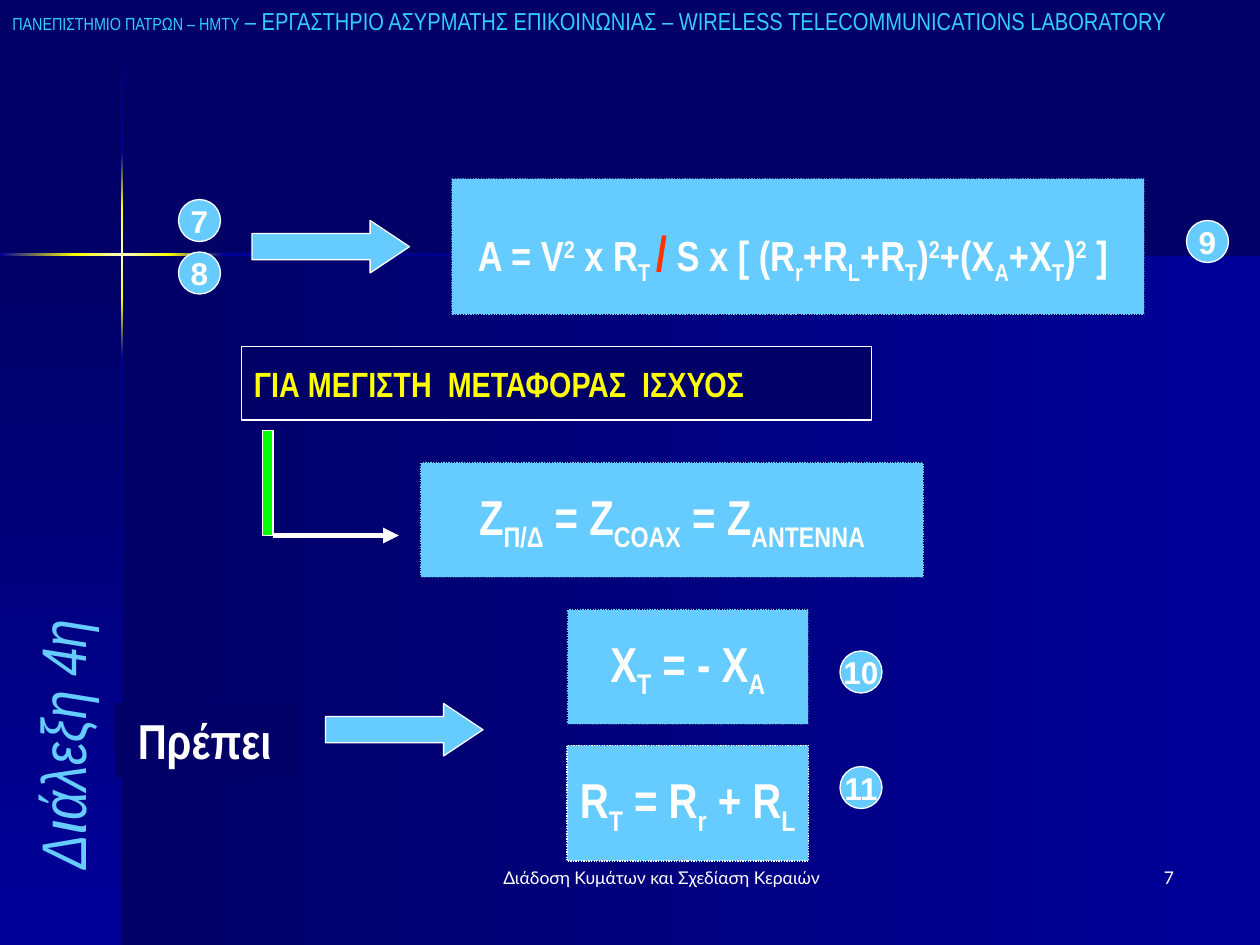
from copy import deepcopy
from dataclasses import dataclass
from itertools import pairwise
from typing import Optional

from pptx import Presentation
from pptx.dml.color import RGBColor
from pptx.enum.dml import MSO_LINE
from pptx.enum.shapes import MSO_CONNECTOR, MSO_SHAPE as Shape
from pptx.enum.text import MSO_ANCHOR as Anchor, MSO_AUTO_SIZE, PP_ALIGN as Align
from pptx.oxml.ns import qn
from pptx.util import Emu, Pt
from lxml.etree import SubElement

PX = 9525  # EMU per px, 96 px to the inch

NAVY = RGBColor(0x00, 0x00, 0x66)
BLUE = RGBColor(0x00, 0x00, 0x99)
SKY = RGBColor(0x66, 0xCC, 0xFF)
CYAN = RGBColor(0x33, 0xCC, 0xFF)
WHITE = RGBColor(0xFF, 0xFF, 0xFF)
YELLOW = RGBColor(0xFF, 0xFF, 0x00)
CREAM = RGBColor(0xFF, 0xFF, 0xCC)
GREEN = RGBColor(0x00, 0xFF, 0x00)
RED = RGBColor(0xFF, 0x33, 0x00)

NARROW = "Arial Narrow"


@dataclass(frozen=True)
class Run:
    text: str
    base: int = 0  # baseline shift in percent
    size: Optional[int] = None
    color: Optional[RGBColor] = None


@dataclass(frozen=True)
class Style:
    size: int
    color: RGBColor = WHITE
    font: str = NARROW
    bold: bool = False
    italic: bool = False
    align: Align = Align.LEFT


@dataclass(frozen=True)
class Box:
    x: int
    y: int
    w: int
    h: int
    runs: list[Run]
    style: Style
    fill: RGBColor = SKY
    line: RGBColor = NAVY
    dotted: bool = True


def sub(text: str) -> Run:
    return Run(text, -25)


def sup(text: str) -> Run:
    return Run(text, 30)


def px(*values: int) -> list[Emu]:
    return [Emu(v * PX) for v in values]


def write(sp, runs: list[Run], style: Style, anchor=Anchor.TOP, wrap=True) -> None:
    tf = sp.text_frame
    tf.auto_size = MSO_AUTO_SIZE.NONE
    tf.word_wrap = wrap
    tf.vertical_anchor = anchor
    p = tf.paragraphs[0]
    p.alignment = style.align
    p.font.name, p.font.size = style.font, Pt(style.size)
    p.font.bold, p.font.italic = style.bold, style.italic
    p.font.color.rgb = style.color
    for run in runs:
        r = p.add_run()
        r.text = run.text
        if run.size:
            r.font.size = Pt(run.size)
        if run.color is not None:
            r.font.color.rgb = run.color
        if run.base:
            r._r.get_or_add_rPr().set("baseline", str(run.base * 1000))


def add_solid(shapes, kind, x: int, y: int, w: int, h: int,
              fill=SKY, line=WHITE):
    sp = shapes.add_shape(kind, *px(x, y, w, h))
    sp.shadow.inherit = False
    sp.fill.solid()
    sp.fill.fore_color.rgb = fill
    sp.line.color.rgb = line
    sp.line.width = Pt(0.75)
    return sp


def add_gradient(shapes, x: int, y: int, w: int, h: int,
                 colors: tuple[RGBColor, ...], angle: int) -> None:
    sp = shapes.add_shape(Shape.RECTANGLE, *px(x, y, w, h))
    sp.shadow.inherit = False
    sp.line.fill.background()
    sp.fill.gradient()
    sp.fill.gradient_angle = angle
    stops = sp._element.spPr.find(qn("a:gradFill")).find(qn("a:gsLst"))
    while len(stops) < len(colors):
        stops.append(deepcopy(stops[0]))
    for i, (stop, color) in enumerate(zip(sp.fill.gradient_stops, colors)):
        stop.position = i / (len(colors) - 1)
        stop.color.rgb = color


def add_box(shapes, box: Box) -> None:
    sp = add_solid(shapes, Shape.RECTANGLE, box.x, box.y, box.w, box.h, box.fill, box.line)
    if box.dotted:
        sp.line.dash_style = MSO_LINE.ROUND_DOT
    write(sp, box.runs, box.style, Anchor.MIDDLE, wrap=False)


def add_text(shapes, x: int, y: int, w: int, h: int, runs: list[Run], style: Style):
    sp = shapes.add_textbox(*px(x, y, w, h))
    write(sp, runs, style)
    return sp


def add_backdrop(shapes) -> None:
    add_gradient(shapes, 93, 194, 867, 526, (NAVY, BLUE), 0)
    add_gradient(shapes, 0, 194, 93, 526, (NAVY, BLUE), 270)
    # Glowing cross: each arm fades in, shines and fades out
    arm = [(NAVY, BLUE), (BLUE, YELLOW), (YELLOW, CREAM, YELLOW),
           (YELLOW, BLUE), (BLUE, NAVY)]
    for (top, bottom), colors in zip(pairwise([1, 116, 158, 228, 271, 720]), arm):
        add_gradient(shapes, 92, top, 2, bottom - top, colors, 270)
    for (left, right), colors in zip(pairwise([0, 58, 128, 170, 960]), arm[1:]):
        add_gradient(shapes, left, 193, right - left, 2, colors, 0)


FORMULA = Style(28, bold=True, align=Align.CENTER)
BADGE = Style(18, font="Arial", bold=True, align=Align.CENTER)

BOXES = [
    Box(344, 136, 528, 104,
        [Run("A = V"), sup("2"), Run(" x R"), sub("T "), Run("/", size=28, color=RED),
         Run(" S x [ (R"), sub("r"), Run("+R"), sub("L"), Run("+R"), sub("T"), Run(")"),
         sup("2"), Run("+(X"), sub("A"), Run("+X"), sub("T"), Run(")"), sup("2"),
         Run(" ]"), Run(" ", -25, 44)],
        Style(24, bold=True, align=Align.CENTER)),
    Box(184, 264, 480, 56, [Run("ΓΙΑ ΜΕΓΙΣΤΗ  ΜΕΤΑΦΟΡΑΣ  ΙΣΧΥΟΣ")],
        Style(20, YELLOW, bold=True), NAVY, WHITE, dotted=False),
    Box(320, 352, 384, 88,
        [Run("Ζ"), sub("Π/Δ"), Run(" = Ζ"), sub("COAX"), Run(" = Z"), sub("ANTENNA")],
        FORMULA),
    Box(432, 464, 184, 88, [Run("X"), sub("T"), Run(" = - X"), sub("A")], FORMULA),
    Box(432, 568, 184, 88,
        [Run("R"), sub("T"), Run(" = R"), sub("r"), Run(" + R"), sub("L")],
        FORMULA, line=WHITE),
    Box(88, 536, 136, 56, [Run("Πρέπει")], FORMULA, fill=NAVY),
]
BADGES = {"7": (136, 152), "8": (136, 192), "9": (904, 168),
          "10": (640, 496), "11": (640, 584)}
ARROWS = [(192, 168), (248, 536)]


def main() -> None:
    prs = Presentation()
    prs.slide_width, prs.slide_height = px(960, 720)
    s = prs.slides.add_slide(prs.slide_layouts[5])
    s.background.fill.solid()
    s.background.fill.fore_color.rgb = NAVY
    shapes = s.shapes
    add_backdrop(shapes)

    # Formula boxes, equation numbers and block arrows
    for box in BOXES:
        add_box(shapes, box)
    for number, (x, y) in BADGES.items():
        sp = add_solid(shapes, Shape.OVAL, x, y, 32, 32)
        write(sp, [Run(number)], BADGE, Anchor.MIDDLE, wrap=False)
    for x, y in ARROWS:
        sp = add_solid(shapes, Shape.RIGHT_ARROW, x, y, 120, 40)
        sp.adjustments[0], sp.adjustments[1] = 0.5, 0.75

    # Green bar with the line arrow to the matching condition
    add_solid(shapes, Shape.RECTANGLE, 200, 328, 8, 80, GREEN)
    link = shapes.add_connector(MSO_CONNECTOR.STRAIGHT, *px(208, 408, 304, 408))
    link.line.color.rgb = WHITE
    link.line.width = Pt(3)
    SubElement(link.line._get_or_add_ln(), qn("a:tailEnd"), type="triangle")
    SubElement(link._element.spPr, qn("a:effectLst"))

    # Header, sideways title and footer
    header = add_text(shapes, 0, 0, 1072, 32, [
        Run("ΠΑΝΕΠΙΣΤΗΜΙΟ ΠΑΤΡΩΝ – ΗΜΤΥ", size=10),
        Run(" – ΕΡΓΑΣΤΗΡΙΟ ΑΣΥΡΜΑΤΗΣ ΕΠΙΚΟΙΝΩΝΙΑΣ – WIRELESS TELECOMMUNICATIONS LABORATORY"),
    ], Style(14, CYAN))
    header.text_frame.paragraphs[0].space_before = Pt(3.5)
    title = shapes.title
    title.left, title.top, title.width, title.height = px(-136, 456, 368, 64)
    title.rotation = 270
    write(title, [Run("Διάλεξη 4η")], Style(36, SKY, italic=True), Anchor.BOTTOM)
    shapes._spTree.append(title._element)  # bring in front of the backdrop
    add_text(shapes, 352, 656, 304, 48, [Run("Διάδοση Κυμάτων και Σχεδίαση Κεραιών")],
             Style(10, font="Lato", align=Align.CENTER))
    add_text(shapes, 704, 656, 200, 48, [Run("7")],
             Style(10, font="Lato", align=Align.RIGHT))

    prs.save("out.pptx")


if __name__ == "__main__":
    main()
